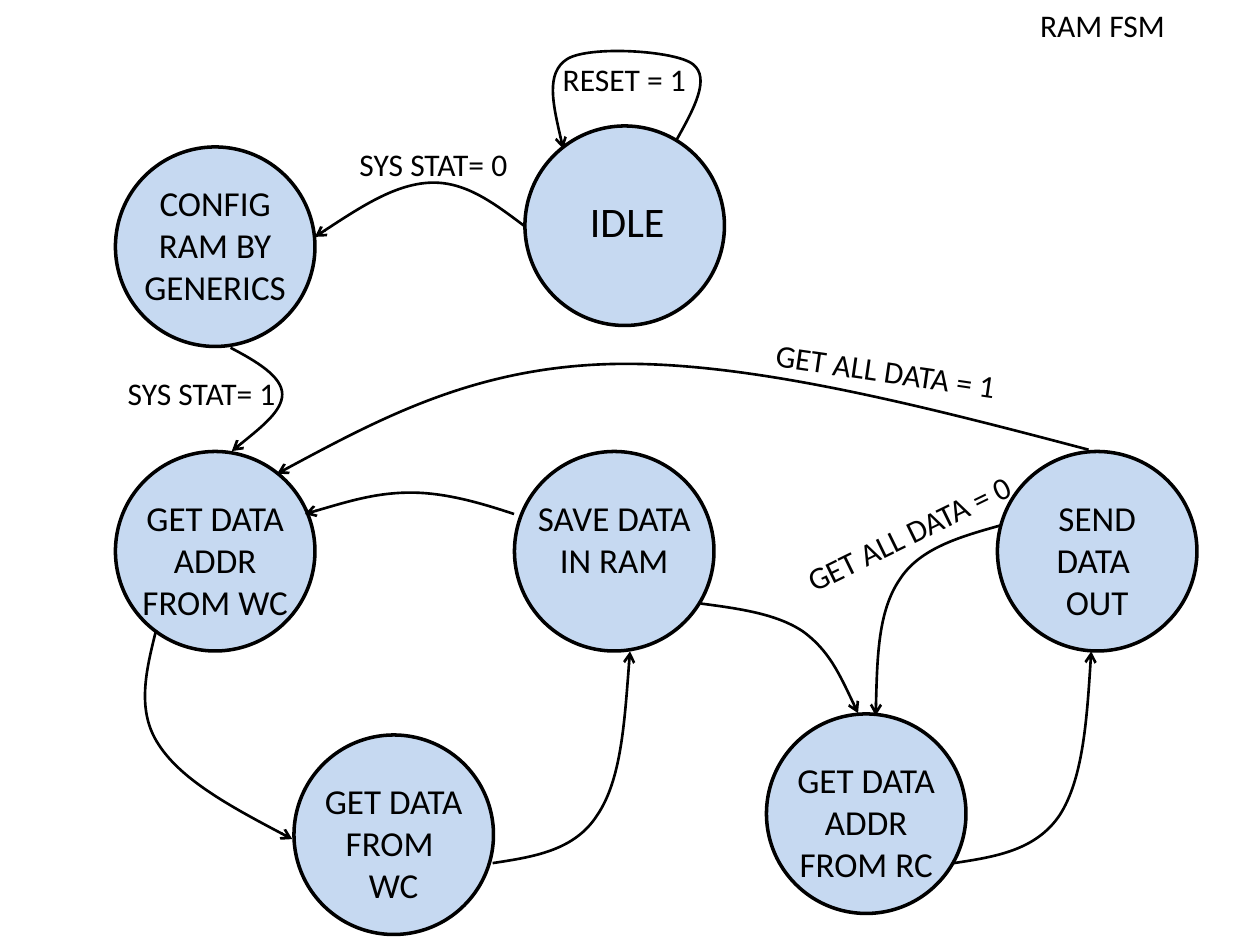
from dataclasses import dataclass

from lxml.etree import SubElement
from pptx import Presentation
from pptx.dml.color import RGBColor
from pptx.enum.shapes import MSO_SHAPE as Preset
from pptx.enum.text import MSO_ANCHOR as Anchor, MSO_AUTO_SIZE as AutoSize, PP_ALIGN as Align
from pptx.oxml.ns import qn
from pptx.util import Inches, Pt

Point = tuple[float, float]


@dataclass(frozen=True)
class Theme:
    font: str = "Calibri"
    ink: RGBColor = RGBColor(0, 0, 0)
    state_fill: RGBColor = RGBColor(0xC6, 0xD9, 0xF1)
    label_size: int = 18
    state_size: int = 20
    idle_size: int = 24
    outline: float = 2
    arrow_line: float = 1.5


THEME = Theme()
GRID = 1 / 12  # inches
DIAMETER = 19  # grid steps
LOWER_ROW = 43  # grid steps
LABEL_HEIGHT = 0.4


@dataclass(frozen=True)
class State:
    """A circle at column, row in grid steps; its text box is offset from there in steps."""
    column: int
    row: int
    text: str
    text_offset: Point = (1, 3.67)
    text_size: Point = (17, 13.36)
    font_size: int = THEME.state_size
    align: Align = Align.CENTER


@dataclass(frozen=True)
class Label:
    left: float
    top: float
    width: float
    text: str
    rotation: float = 0


STATES = [
    State(50, 12, "IDLE", (5, 6), (11, 6), THEME.idle_size, Align.LEFT),
    State(11, 14, "CONFIG RAM BY GENERICS", text_offset=(1, 2.67)),
    State(11, LOWER_ROW, "GET DATA ADDR FROM WC"),
    State(28, 70, "GET DATA FROM \nWC"),
    State(49, LOWER_ROW, "SAVE DATA IN RAM", text_size=(17, 9.29)),
    State(73, 68, "GET DATA ADDR FROM RC"),
    State(95, LOWER_ROW, "SEND DATA \nOUT"),
]

LABELS = [
    Label(4.33, 0.43, 1.25, "RESET = 1"),
    Label(2.71, 1.1, 1.46, "SYS STAT= 0"),
    Label(0.87, 2.92, 1.46, "SYS STAT= 1"),
    Label(5.97, 2.74, 2.12, "GET ALL DATA = 1", 8.36),
    Label(6.15, 4.03, 2.12, "GET ALL DATA = 0", 334),
]

# Each transition is a start point followed by cubic Bézier segments.
TRANSITIONS: list[list[Point]] = [
    # Idle to idle
    [(5.37, 1.11), (5.51, 0.86), (5.64, 0.62), (5.5, 0.51),
     (5.36, 0.4), (4.67, 0.36), (4.5, 0.47), (4.33, 0.58), (4.4, 0.88), (4.47, 1.18)],
    # Idle to config
    [(4.17, 1.8), (3.93, 1.62), (3.7, 1.44), (3.42, 1.45), (3.14, 1.46), (2.82, 1.67), (2.5, 1.88)],
    # Config to write address
    [(1.83, 2.76), (2.04, 2.87), (2.24, 2.99), (2.24, 3.13), (2.24, 3.26), (2.04, 3.42), (1.84, 3.58)],
    # Write address to data
    [(1.24, 5), (1.16, 5.32), (1.08, 5.64), (1.26, 5.91), (1.44, 6.19), (1.88, 6.43), (2.32, 6.66)],
    # Data to save
    [(3.91, 6.85), (4.24, 6.8), (4.56, 6.75), (4.74, 6.47), (4.93, 6.19), (4.96, 5.68), (5, 5.17)],
    # Save to write address
    [(4.08, 4.08), (3.81, 3.99), (3.53, 3.91), (3.26, 3.91), (2.98, 3.91), (2.7, 4), (2.42, 4.08)],
    # Save to read address
    [(5.56, 4.79), (5.86, 4.83), (6.16, 4.87), (6.37, 5.01), (6.58, 5.16), (6.69, 5.41), (6.81, 5.66)],
    # Read address to send
    [(7.57, 6.85), (7.9, 6.8), (8.22, 6.75), (8.41, 6.47), (8.59, 6.19), (8.63, 5.68), (8.66, 5.17)],
    # Send to read address
    [(7.94, 4.17), (7.62, 4.26), (7.3, 4.35), (7.14, 4.6), (6.97, 4.85), (6.96, 5.27), (6.95, 5.68)],
    # Send to write address
    [(8.64, 3.57), (7.28, 3.21), (5.91, 2.86), (4.84, 2.89), (3.77, 2.92), (2.98, 3.34), (2.2, 3.76)],
]


def steps(count: float) -> Inches:
    return Inches(count * GRID)


def write_text(shape, text: str, *, size: int, align: Align = Align.CENTER) -> None:
    frame = shape.text_frame
    frame.text = text
    frame.word_wrap = True
    frame.auto_size = AutoSize.SHAPE_TO_FIT_TEXT
    frame.vertical_anchor = Anchor.TOP
    for paragraph in frame.paragraphs:
        paragraph.alignment = align
        font = paragraph.runs[0].font
        font.name, font.size = THEME.font, Pt(size)
        font.color.rgb = THEME.ink


def set_line(shape, width: float) -> None:
    shape.shadow.inherit = False
    shape.line.color.rgb = THEME.ink
    shape.line.width = Pt(width)


def draw_state(slide, state: State) -> None:
    group = slide.shapes.add_group_shape()
    circle = group.shapes.add_shape(Preset.OVAL, steps(state.column), steps(state.row),
                                    steps(DIAMETER), steps(DIAMETER))
    circle.fill.solid()
    circle.fill.fore_color.rgb = THEME.state_fill
    set_line(circle, THEME.outline)
    (across, down), (width, height) = state.text_offset, state.text_size
    box = group.shapes.add_textbox(steps(state.column + across), steps(state.row + down),
                                   steps(width), steps(height))
    write_text(box, state.text, size=state.font_size, align=state.align)


def draw_label(slide, label: Label) -> None:
    box = slide.shapes.add_textbox(Inches(label.left), Inches(label.top),
                                   Inches(label.width), Inches(LABEL_HEIGHT))
    box.rotation = label.rotation
    write_text(box, label.text, size=THEME.label_size)


def draw_transition(slide, points: list[Point]) -> None:
    """Draw a freeform, turn each three line segments into one curve, add an arrowhead."""
    start, *rest = [(Inches(x), Inches(y)) for x, y in points]
    builder = slide.shapes.build_freeform(*start)
    builder.add_line_segments(rest, close=False)
    shape = builder.convert_to_shape()
    shape.fill.background()
    set_line(shape, THEME.arrow_line)
    outline = next(shape.element.iter(qn("a:path")))
    segments = outline.findall(qn("a:lnTo"))
    for first in range(0, len(segments), 3):
        curve = SubElement(outline, qn("a:cubicBezTo"))
        for segment in segments[first:first + 3]:
            curve.append(segment[0])
            outline.remove(segment)
    line = shape.element.spPr.find(qn("a:ln"))
    SubElement(line, qn("a:tailEnd"), type="arrow")


def draw_title(slide, text: str) -> None:
    title = slide.shapes.title
    title.left, title.top = Inches(7.5), Inches(0)
    title.width, title.height = Inches(2.5), Inches(LABEL_HEIGHT)
    write_text(title, text, size=THEME.label_size)


def main() -> None:
    presentation = Presentation()
    presentation.slide_width, presentation.slide_height = Inches(10), Inches(7.5)
    title_only = presentation.slide_layouts[5]
    slide = presentation.slides.add_slide(title_only)
    draw_title(slide, "RAM FSM")
    for state in STATES:
        draw_state(slide, state)
    for points in TRANSITIONS:
        draw_transition(slide, points)
    for label in LABELS:
        draw_label(slide, label)
    presentation.save("out.pptx")


if __name__ == "__main__":
    main()
